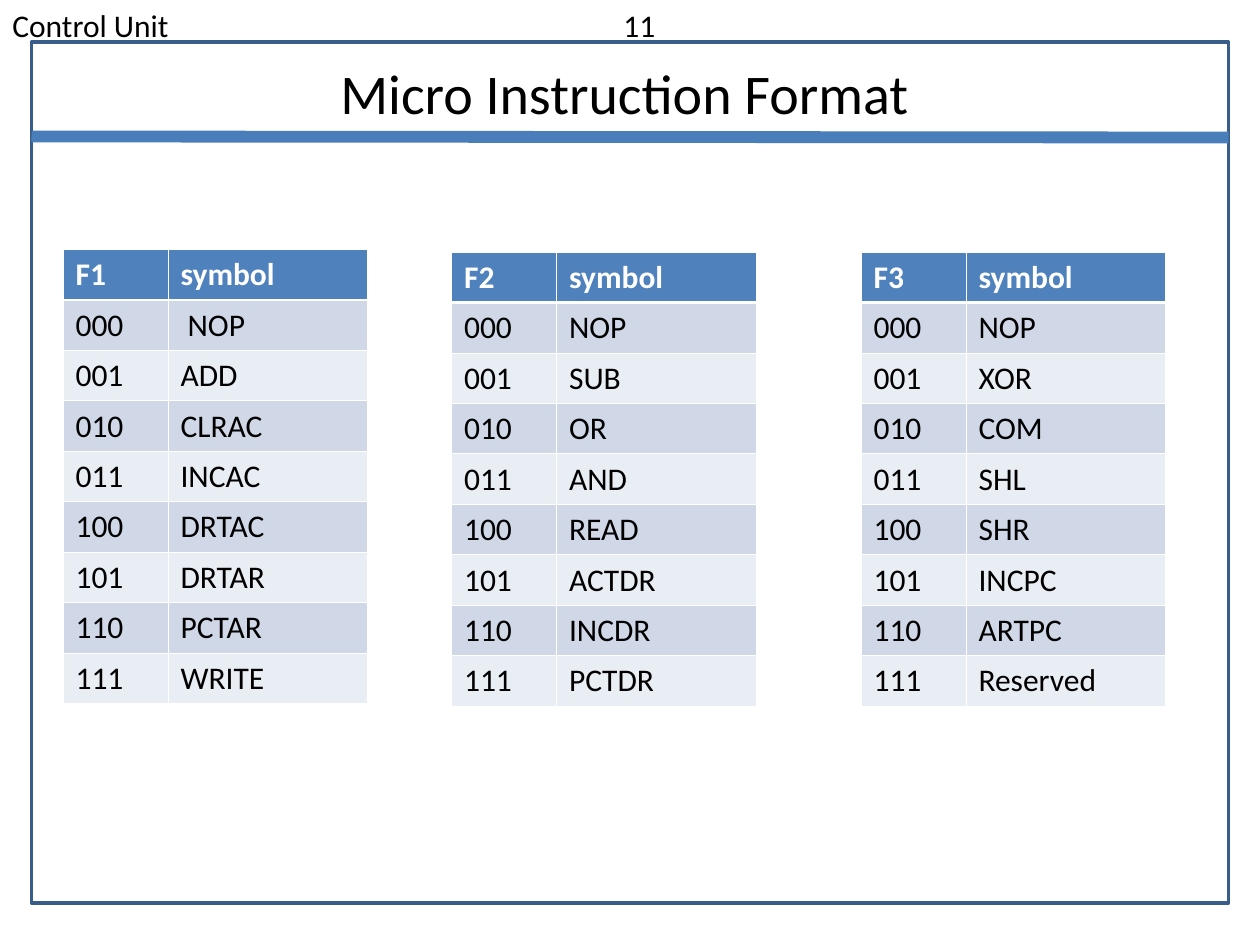
from dataclasses import dataclass

from lxml.etree import SubElement as Sub
from pptx import Presentation
from pptx.dml.color import RGBColor
from pptx.enum.shapes import MSO_CONNECTOR as Link, MSO_SHAPE as Form
from pptx.enum.text import MSO_AUTO_SIZE as Fit, PP_ALIGN as Align
from pptx.oxml.ns import qn
from pptx.util import Inches, Pt

WIDE, HIGH = 120, 90
COLS = (10, 19)
ROW = 4.8
HEAD, BANDS = "4F81BD", ("D0D8E8", "E9EDF4")
WHITE, BLACK = "FFFFFF", "000000"


@dataclass
class Field:
    name: str
    left: float
    top: float
    codes: tuple[str, ...]


FIELDS = (
    Field("F1", 6, 23.75, (" NOP", "ADD", "CLRAC", "INCAC", "DRTAC", "DRTAR", "PCTAR", "WRITE")),
    Field("F2", 43, 24, ("NOP", "SUB", "OR", "AND", "READ", "ACTDR", "INCDR", "PCTDR")),
    Field("F3", 82, 24, ("NOP", "XOR", "COM", "SHL", "SHR", "INCPC", "ARTPC", "Reserved")),
)


def unit(n: float) -> int:
    return Inches(n / 12)


def color(code: str) -> RGBColor:
    return RGBColor.from_string(code)


def write(frame, text: str, size: float = 18, ink: str = BLACK, bold: bool = False,
          align=Align.LEFT, tab: float = 0) -> None:
    para = frame.paragraphs[0]
    para.alignment = align
    if tab:
        stops = Sub(para._p.get_or_add_pPr(), qn("a:tabLst"))
        Sub(stops, qn("a:tab"), pos=str(unit(tab)), algn="l")
    run = para.add_run()
    run.text = text
    font = run.font
    font.name, font.size, font.bold = "Calibri", Pt(size), bold
    font.color.rgb = color(ink)


def label(slide, text: str, box: tuple[float, ...], **form) -> None:
    frame = slide.shapes.add_textbox(*map(unit, box)).text_frame
    frame.word_wrap = True
    frame.auto_size = Fit.SHAPE_TO_FIT_TEXT
    write(frame, text, **form)


def edge(cell, row: int) -> None:
    props = cell._tc.get_or_add_tcPr()
    thick = {"T": row == 1, "B": row == 0}
    for side in "LRTB":
        width = Pt(1.47 if thick.get(side) else 0.45)
        line = Sub(props, qn(f"a:ln{side}"), w=str(width))
        fill = Sub(line, qn("a:solidFill"))
        Sub(fill, qn("a:srgbClr"), val=WHITE)


def grid(slide, field: Field) -> None:
    rows = [(field.name, "symbol")]
    rows += [(f"{n:03b}", code) for n, code in enumerate(field.codes)]
    box = (field.left, field.top, sum(COLS), ROW * len(rows))
    table = slide.shapes.add_table(len(rows), len(COLS), *map(unit, box)).table
    for col, width in zip(table.columns, COLS):
        col.width = unit(width)
    for r, texts in enumerate(rows):
        table.rows[r].height = unit(ROW)
        for c, text in enumerate(texts):
            cell = table.cell(r, c)
            edge(cell, r)
            cell.fill.solid()
            cell.fill.fore_color.rgb = color(BANDS[(r - 1) % 2] if r else HEAD)
            write(cell.text_frame, text, ink=BLACK if r else WHITE, bold=r == 0)


def border(slide) -> None:
    shape = slide.shapes.add_shape(Form.RECTANGLE, *map(unit, (3, 4, WIDE - 6, HIGH - 8)))
    shape.shadow.inherit = False
    shape.fill.background()
    shape.line.color.rgb = color("385D8A")
    shape.line.width = Pt(2)


def rule(slide) -> None:
    ends = map(unit, (3, 13, WIDE - 3, 13.1))
    line = slide.shapes.add_connector(Link.STRAIGHT, *ends)
    line.line.color.rgb = color("4A7EBB")
    line.line.width = Pt(6.75)
    Sub(line._element.spPr, qn("a:effectLst"))


def main() -> None:
    deck = Presentation()
    deck.slide_width, deck.slide_height = unit(WIDE), unit(HIGH)
    slide = deck.slides.add_slide(deck.slide_layouts[6])
    border(slide)
    label(slide, "Control Unit\t11", (0, 0, WIDE, 4.9), tab=58.2)
    rule(slide)
    label(slide, "Micro Instruction Format", (9, 5, 101, 7.7), size=32, align=Align.CENTER)
    for field in FIELDS:
        grid(slide, field)
    deck.save("out.pptx")


if __name__ == "__main__":
    main()
